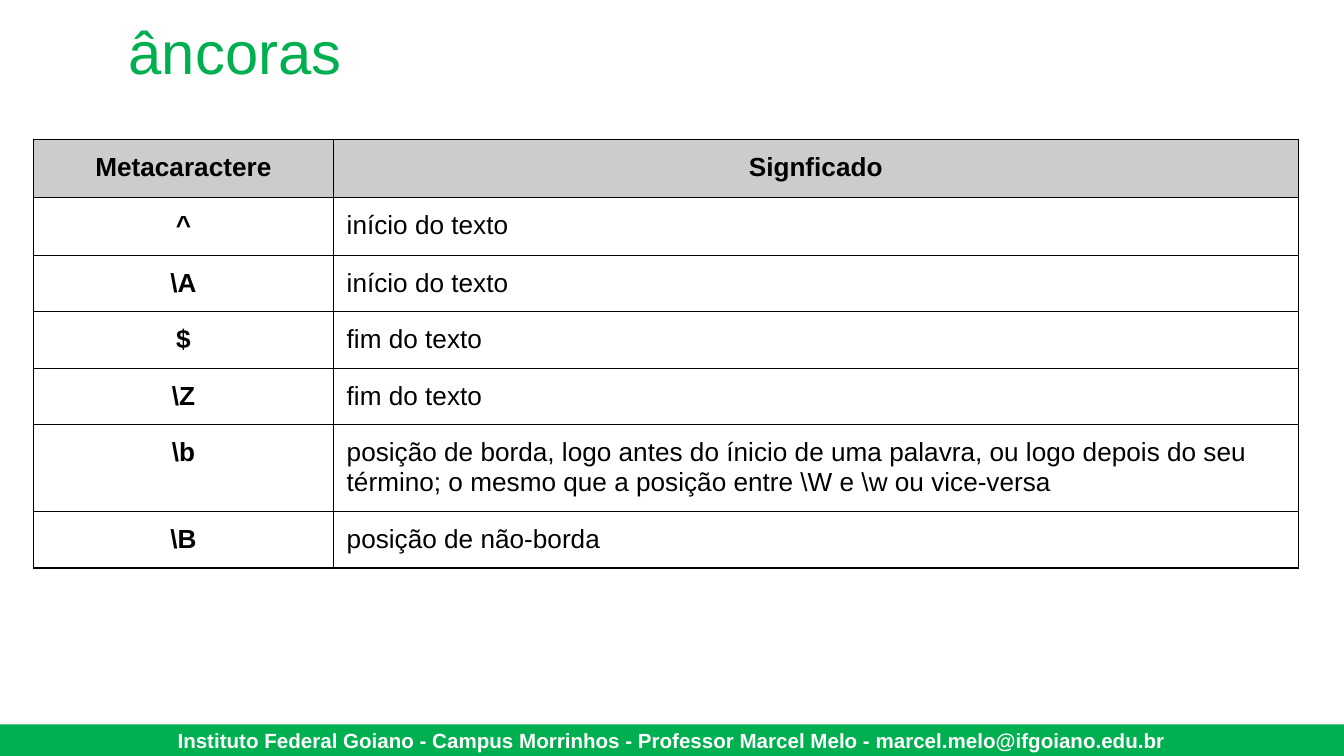
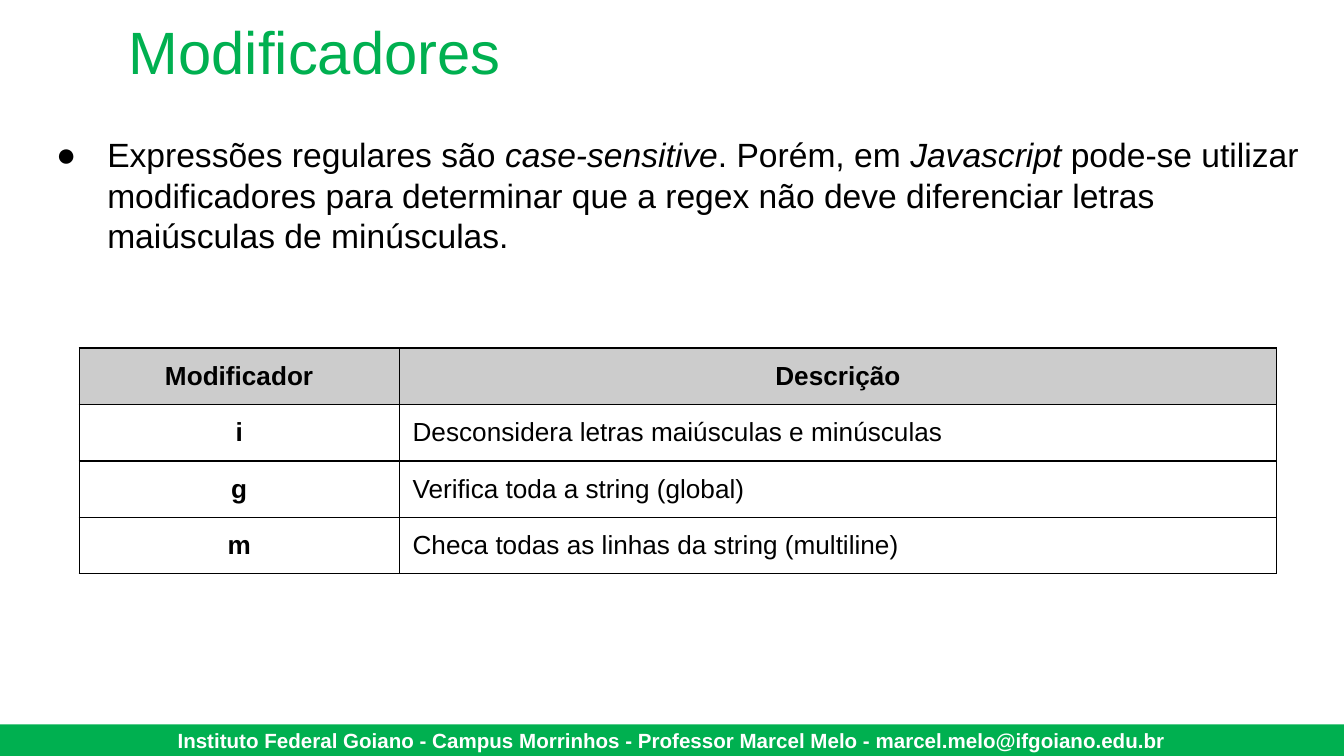
from lxml.etree import SubElement
from pptx import Presentation
from pptx.dml.color import RGBColor
from pptx.enum.shapes import MSO_SHAPE
from pptx.enum.text import MSO_ANCHOR, PP_ALIGN
from pptx.oxml.ns import qn
from pptx.util import Inches, Pt

GREEN = RGBColor(0x00, 0xB0, 0x50)
GRAY = RGBColor(0xCC, 0xCC, 0xCC)
BLACK = RGBColor(0x00, 0x00, 0x00)
WHITE = RGBColor(0xFF, 0xFF, 0xFF)
FONT = "Arial"
PAGE_WIDTH = 10
PAGE_HEIGHT = PAGE_WIDTH * 9 / 16
FOOTER = ("Instituto Federal Goiano - Campus Morrinhos - "
          "Professor Marcel Melo - marcel.melo@ifgoiano.edu.br")
ROW_HEIGHT = 0.42

ANCHORS = [
    ("Metacaractere", "Signficado"),
    ("^", "início do texto"),
    ("\\A", "início do texto"),
    ("$", "fim do texto"),
    ("\\Z", "fim do texto"),
    ("\\b", "posição de borda, logo antes do ínicio de uma palavra, ou logo depois "
            "do seu término; o mesmo que a posição entre \\W e \\w ou vice-versa"),
    ("\\B", "posição de não-borda"),
]
ANCHOR_HEIGHTS = [0.43, 0.43, ROW_HEIGHT, ROW_HEIGHT, ROW_HEIGHT, 0.64, ROW_HEIGHT]
MODIFIERS = [
    ("Modificador", "Descrição"),
    ("i", "Desconsidera letras maiúsculas e minúsculas"),
    ("g", "Verifica toda a string (global)"),
    ("m", "Checa todas as linhas da string (multiline)"),
]
CASE_TEXT = [
    ("Expressões regulares são ", False),
    ("case-sensitive", True),
    (". Porém, em ", False),
    ("Javascript", True),
    (" pode-se utilizar modificadores para determinar que a regex não deve "
     "diferenciar letras maiúsculas de minúsculas.", False),
]


class Lesson:
    """Holds the deck, its style and the page being filled."""

    def __init__(self):
        self.deck = Presentation()
        self.deck.slide_width = Inches(PAGE_WIDTH)
        self.deck.slide_height = Inches(PAGE_HEIGHT)
        self.page = None

    def add_page(self, title):
        self.page = self.deck.slides.add_slide(self.deck.slide_layouts[6])
        self.add_footer()
        self.add_title(title)

    def style_font(self, font, size, color, bold=False):
        font.name = FONT
        font.size = Pt(size)
        font.color.rgb = color
        font.bold = bold

    def set_insets(self, holder, bottom=0.1):
        """Give a text frame or a table cell the shared margins."""
        holder.margin_left = holder.margin_right = holder.margin_top = Inches(0.1)
        holder.margin_bottom = Inches(bottom)

    def add_box(self, left, top, width, height):
        box = self.page.shapes.add_textbox(
            Inches(left), Inches(top), Inches(width), Inches(height))
        box.text_frame.word_wrap = True
        self.set_insets(box.text_frame)
        return box.text_frame

    def add_footer(self):
        band = self.page.shapes.add_shape(
            MSO_SHAPE.RECTANGLE, 0, Inches(5.39), Inches(PAGE_WIDTH), Inches(0.24))
        band.shadow.inherit = False
        band.fill.solid()
        band.fill.fore_color.rgb = GREEN
        band.line.fill.background()
        frame = band.text_frame
        self.set_insets(frame)
        frame.vertical_anchor = MSO_ANCHOR.MIDDLE
        frame.text = FOOTER
        para = frame.paragraphs[0]
        para.alignment = PP_ALIGN.CENTER
        self.style_font(para.runs[0].font, 11, WHITE, bold=True)

    def add_title(self, text):
        frame = self.add_box(0.86, 0, 9.14, 0.76)
        frame.vertical_anchor = MSO_ANCHOR.MIDDLE
        frame.text = text
        self.style_font(frame.paragraphs[0].runs[0].font, 32, GREEN)

    def add_bullet(self, spans):
        """Add one bulleted paragraph from (text, italic) pairs."""
        para = self.add_box(0.2, 0.9, 9.6, 4.38).paragraphs[0]
        properties = para._p.get_or_add_pPr()
        properties.set("marL", str(Inches(0.5)))
        properties.set("indent", str(Inches(-0.38)))
        color = SubElement(properties, qn("a:buClr"))
        SubElement(color, qn("a:srgbClr"), val=str(BLACK))
        SubElement(properties, qn("a:buFont"), typeface=FONT)
        SubElement(properties, qn("a:buChar"), char="●")
        for text, italic in spans:
            span = para.add_run()
            span.text = text
            self.style_font(span.font, 18, BLACK)
            span.font.italic = italic

    def add_borders(self, cell):
        properties = cell._tc.get_or_add_tcPr()
        for side in ("lnL", "lnR", "lnT", "lnB"):
            line = SubElement(properties, qn(f"a:{side}"), w=str(Pt(0.75)))
            fill = SubElement(line, qn("a:solidFill"))
            SubElement(fill, qn("a:srgbClr"), val=str(BLACK))

    def fill_cell(self, cell, text, is_header, is_key):
        self.add_borders(cell)
        self.set_insets(cell, bottom=0.08)
        if is_header:
            cell.fill.solid()
            cell.fill.fore_color.rgb = GRAY
        else:
            cell.fill.background()
        cell.text = text
        para = cell.text_frame.paragraphs[0]
        strong = is_header or is_key
        para.alignment = PP_ALIGN.CENTER if strong else PP_ALIGN.LEFT
        self.style_font(para.runs[0].font, 14, BLACK, bold=strong)

    def add_table(self, left, top, widths, heights, rows):
        table = self.page.shapes.add_table(
            len(rows), len(widths), Inches(left), Inches(top),
            Inches(sum(widths)), Inches(sum(heights))).table
        table.first_row = table.horz_banding = False
        for column, width in zip(table.columns, widths):
            column.width = Inches(width)
        for row_index, (values, height) in enumerate(zip(rows, heights)):
            table.rows[row_index].height = Inches(height)
            for column_index, text in enumerate(values):
                self.fill_cell(table.cell(row_index, column_index), text,
                               row_index == 0, column_index == 0)


def main():
    lesson = Lesson()

    lesson.add_page("âncoras")
    lesson.add_table(0.25, 1.04, [2.23, 7.18], ANCHOR_HEIGHTS, ANCHORS)

    lesson.add_page("Modificadores")
    lesson.add_bullet(CASE_TEXT)
    lesson.add_table(0.59, 2.59, [2.38, 6.53], [ROW_HEIGHT] * len(MODIFIERS), MODIFIERS)

    lesson.deck.save("out.pptx")


if __name__ == "__main__":
    main()
